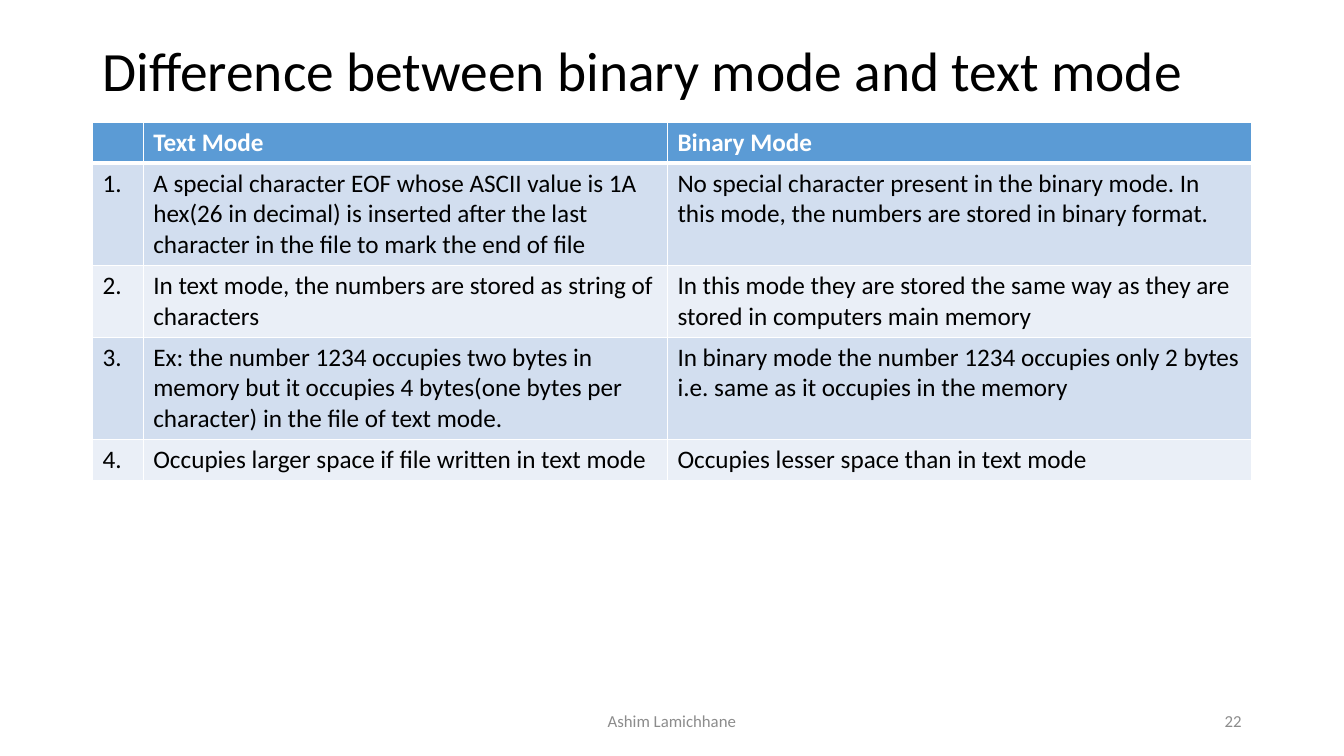
import lxml.etree
import pptx
import pptx.dml.color
import pptx.enum.text
import pptx.oxml.ns
import pptx.util

Cm = pptx.util.Cm
ALIGN = pptx.enum.text.PP_ALIGN
ANCHOR = pptx.enum.text.MSO_ANCHOR
MARGIN = 2.33
CONTENT_WIDTH = 29.21
COLUMN_WIDTHS = (1.28, 13.21, 14.72)
ROW_HEIGHT = 1.03
HEADER_FILL = "5B9BD5"
BAND_FILLS = ("D2DEEF", "EAEFF7")
MODES = (
    ("", "Text Mode", "Binary Mode"),
    ("1.",
     "A special character EOF whose ASCII value is 1A hex(26 in decimal) is inserted "
     "after the last character in the file to mark the end of file",
     "No special character present in the binary mode. In this mode, the numbers are "
     "stored in binary format."),
    ("2.",
     "In text mode, the numbers are stored as string of characters",
     "In this mode they are stored the same way as they are stored in computers main memory"),
    ("3.",
     "Ex: the number 1234 occupies two bytes in memory but it occupies 4 bytes"
     "(one bytes per character) in the file of text mode.",
     "In binary mode the number 1234 occupies only 2 bytes i.e. same as it occupies "
     "in the memory"),
    ("4.",
     "Occupies larger space if file written in text mode",
     "Occupies lesser space than in text mode"),
)


def color(code):
    """Turn a hex string into a colour."""
    return pptx.dml.color.RGBColor.from_string(code)


def apply(target, values):
    """Set each attribute named in a dict of format values."""
    for name, value in values.items():
        setattr(target, name, value)


def write(frame, text, size, ink, align=ALIGN.LEFT, bold=False):
    """Write one formatted paragraph into a text frame."""
    para = frame.paragraphs[0]
    para.alignment = align
    span = para.add_run()
    span.text = text
    apply(span.font, {"name": "Calibri", "size": pptx.util.Pt(size), "bold": bold})
    span.font.color.rgb = color(ink)


def add_title(page, box, text):
    """Place and format the title placeholder in the box."""
    title = page.shapes.title
    apply(title, dict(zip(("left", "top", "width", "height"), map(Cm, box))))
    apply(title.text_frame, {"word_wrap": True, "vertical_anchor": ANCHOR.MIDDLE,
                             "auto_size": pptx.enum.text.MSO_AUTO_SIZE.NONE})
    write(title.text_frame, text, 39.6, "000000")
    title.text_frame.paragraphs[0].line_spacing = 0.9


def add_borders(cell, bottom):
    """Draw white borders round a cell, with the given bottom width in points."""
    properties = cell._tc.get_or_add_tcPr()
    qn = pptx.oxml.ns.qn
    for side, points in (("L", 1), ("R", 1), ("T", 1), ("B", bottom)):
        line = lxml.etree.SubElement(properties, qn(f"a:ln{side}"), w=str(pptx.util.Pt(points)))
        fill = lxml.etree.SubElement(line, qn("a:solidFill"))
        lxml.etree.SubElement(fill, qn("a:srgbClr"), val="FFFFFF")


def add_mode_table(page, box, rows):
    """Place the banded comparison table in the box."""
    table = page.shapes.add_table(len(rows), len(COLUMN_WIDTHS), *map(Cm, box)).table
    for column, width in zip(table.columns, COLUMN_WIDTHS):
        column.width = Cm(width)
    for index, texts in enumerate(rows):
        header = index == 0
        table.rows[index].height = Cm(ROW_HEIGHT)
        for cell, text in zip(table.rows[index].cells, texts):
            add_borders(cell, 3 if header or index == 1 and False else 1)
            cell.fill.solid()
            cell.fill.fore_color.rgb = color(HEADER_FILL if header else BAND_FILLS[(index - 1) % 2])
            if text:
                write(cell.text_frame, text, 18, "FFFFFF" if header else "000000", bold=header)
    for cell in table.rows[1].cells:
        top = cell._tc.tcPr.find(pptx.oxml.ns.qn("a:lnT"))
        top.set("w", str(pptx.util.Pt(3)))


def add_footer(page, box, text, align):
    """Place a grey footer line in the box."""
    footer = page.shapes.add_textbox(*map(Cm, box))
    apply(footer.text_frame, {"word_wrap": True, "vertical_anchor": ANCHOR.MIDDLE})
    write(footer.text_frame, text, 12, "8C8C8C", align)


def main():
    """Build the slide and save it."""
    deck = pptx.Presentation()
    apply(deck, {"slide_width": Cm(33.87), "slide_height": Cm(19.05)})
    page = deck.slides.add_slide(deck.slide_layouts[5])
    add_title(page, (MARGIN, 1.01, CONTENT_WIDTH, 1.7),
              "Difference between binary mode and text mode")
    add_mode_table(page, (MARGIN, 3.08, CONTENT_WIDTH, ROW_HEIGHT * len(MODES)), MODES)
    add_footer(page, (11.22, 17.66, 11.43, 1.01), "Ashim Lamichhane", ALIGN.CENTER)
    add_footer(page, (23.92, 17.66, 7.62, 1.01), "22", ALIGN.RIGHT)
    deck.save("out.pptx")


if __name__ == "__main__":
    main()
